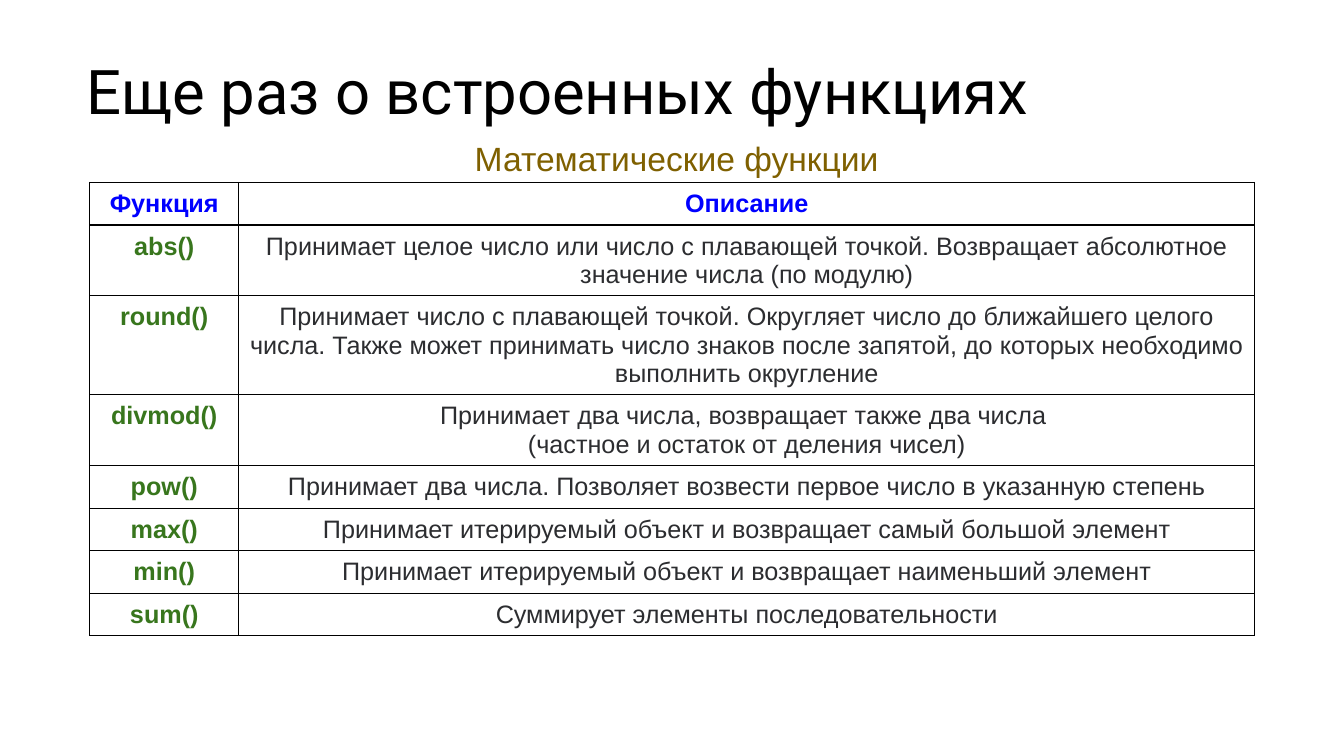
from lxml import etree
from pptx import Presentation
from pptx.dml.color import RGBColor
from pptx.enum import text as t
from pptx.oxml.ns import qn
from pptx.util import Cm, Pt

# Content
TITLE = "Еще раз о встроенных функциях"
TOPIC = "Математические функции"
HEAD = ("Функция", "Описание")
# Name, paragraphs of the description, lines they fill
ROWS = [
    ("abs()", ["Принимает целое число или число с плавающей точкой. "
               "Возвращает абсолютное значение числа (по модулю)"], 2),
    ("round()", ["Принимает число с плавающей точкой. Округляет число до "
                 "ближайшего целого числа. Также может принимать число знаков "
                 "после запятой, до которых необходимо выполнить округление"], 3),
    ("divmod()", ["Принимает два числа, возвращает также два числа ",
                  "(частное и остаток от деления чисел)"], 2),
    ("pow()", ["Принимает два числа. Позволяет возвести первое число "
               "в указанную степень"], 1),
    ("max()", ["Принимает итерируемый объект и возвращает "
               "самый большой элемент"], 1),
    ("min()", ["Принимает итерируемый объект и возвращает "
               "наименьший элемент"], 1),
    ("sum()", ["Суммирует элементы последовательности"], 1),
]
BLACK, BLUE, GREEN, GRAY, GOLD = "000000", "0000FF", "38761D", "2C2D30", "7F6000"
WIDTHS = (3.76, 25.6)
PAD, LINE = 0.18, 0.7


def color(code):
    return RGBColor.from_string(code)


def write(para, words, size, tint, bold=False, font="Arial"):
    run = para.add_run()
    run.text = words
    run.font.name, run.font.size, run.font.bold = font, Pt(size), bold
    run.font.color.rgb = color(tint)


def head(shape, box, words, size, tint, font):
    shape.left, shape.top, shape.width, shape.height = map(Cm, box)
    frame = shape.text_frame
    frame.word_wrap = True
    frame.auto_size = t.MSO_AUTO_SIZE.NONE
    frame.vertical_anchor = t.MSO_ANCHOR.BOTTOM
    para = frame.paragraphs[0]
    para.alignment = t.PP_ALIGN.LEFT
    para.line_spacing, para.space_before = 0.9, Pt(0)
    write(para, words, size, tint, font=font)


def border(cell):
    props = cell._tc.get_or_add_tcPr()
    for spot, side in enumerate(("lnL", "lnR", "lnT", "lnB")):
        line = etree.Element(qn("a:" + side), w=str(Pt(1)))
        fill = etree.SubElement(line, qn("a:solidFill"))
        etree.SubElement(fill, qn("a:srgbClr"), val=BLACK)
        props.insert(spot, line)


def fill_cell(cell, paras, tint, bold):
    cell.fill.background()
    cell.margin_left = cell.margin_right = Cm(PAD)
    cell.margin_top = cell.margin_bottom = Cm(PAD)
    frame = cell.text_frame
    for num, words in enumerate(paras):
        para = frame.add_paragraph() if num else frame.paragraphs[0]
        para.alignment = t.PP_ALIGN.CENTER
        write(para, words, 18, tint, bold)
    border(cell)


def main():
    deck = Presentation()
    deck.slide_width, deck.slide_height = Cm(33.87), Cm(19.05)
    slide = deck.slides.add_slide(deck.slide_layouts[0])

    # Title and topic
    title, topic = slide.placeholders
    head(title, (1.93, 1.17, 30.02, 2.18), TITLE, 44, BLACK, "Roboto")
    head(topic, (11.71, 3.81, 11.05, 0.81), TOPIC, 24, GOLD, "Arial")

    # Table: row height follows the number of lines
    tall = [2 * PAD + LINE * n for n in [1] + [row[2] for row in ROWS]]
    frame = slide.shapes.add_table(len(tall), 2, Cm(2.26), Cm(4.6),
                                   Cm(sum(WIDTHS)), Cm(sum(tall)))
    table = frame.table
    table.first_row = table.horz_banding = False
    for col, width in zip(table.columns, WIDTHS):
        col.width = Cm(width)
    for row, height in zip(table.rows, tall):
        row.height = Cm(height)

    # Cells
    for col, words in enumerate(HEAD):
        fill_cell(table.cell(0, col), [words], BLUE, True)
    for num, (name, paras, _) in enumerate(ROWS, 1):
        fill_cell(table.cell(num, 0), [name], GREEN, True)
        fill_cell(table.cell(num, 1), paras, GRAY, False)

    deck.save("out.pptx")


if __name__ == "__main__":
    main()
